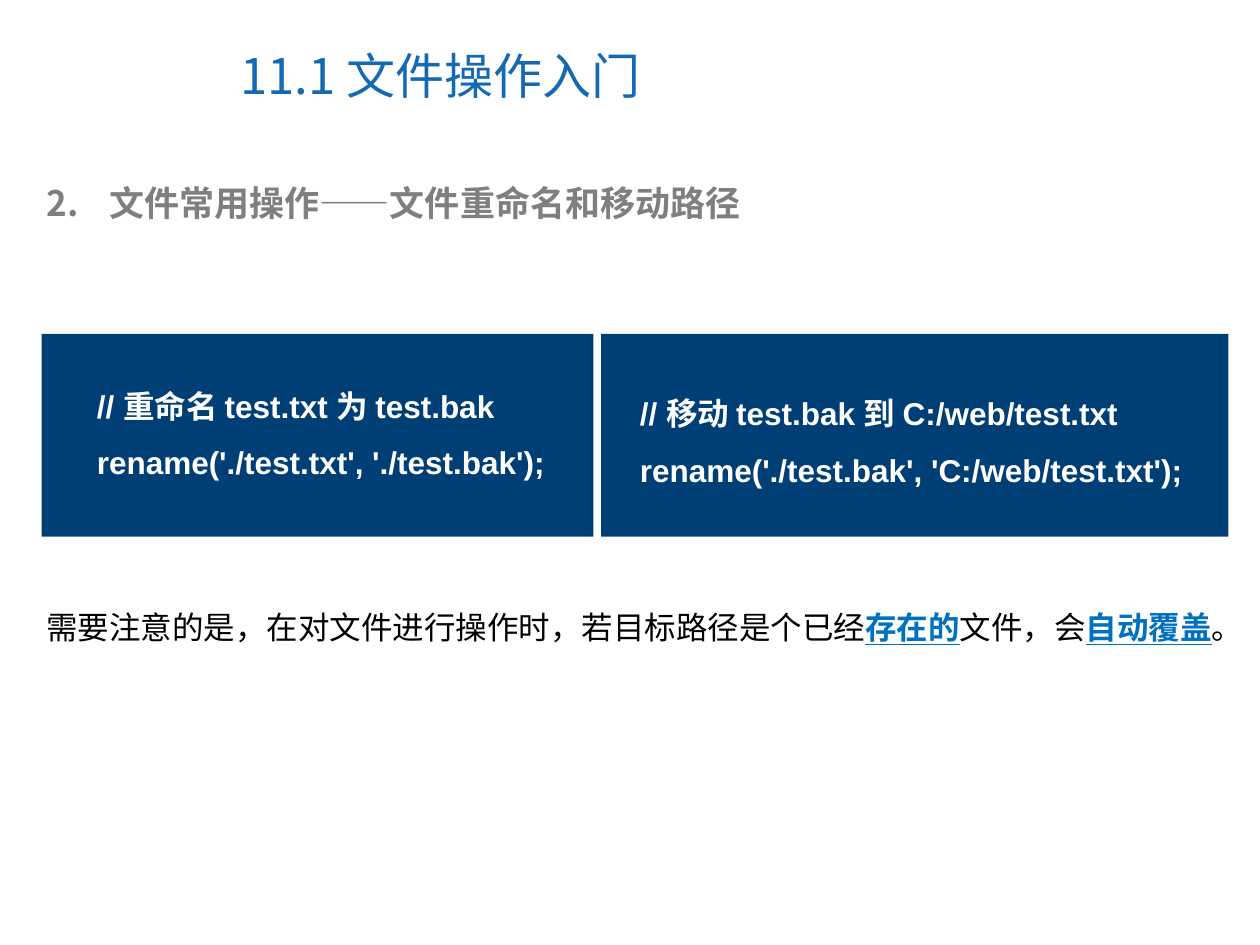
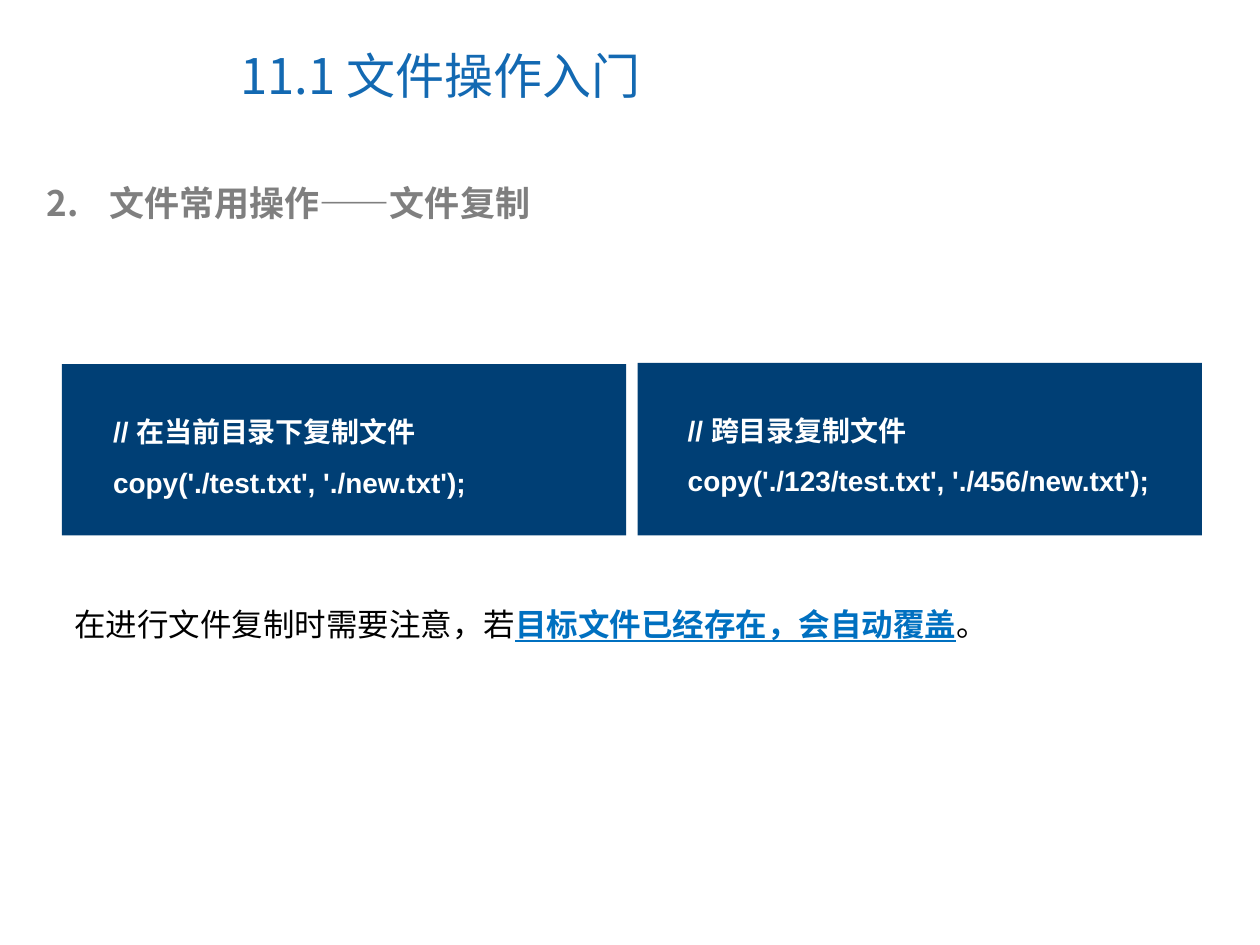
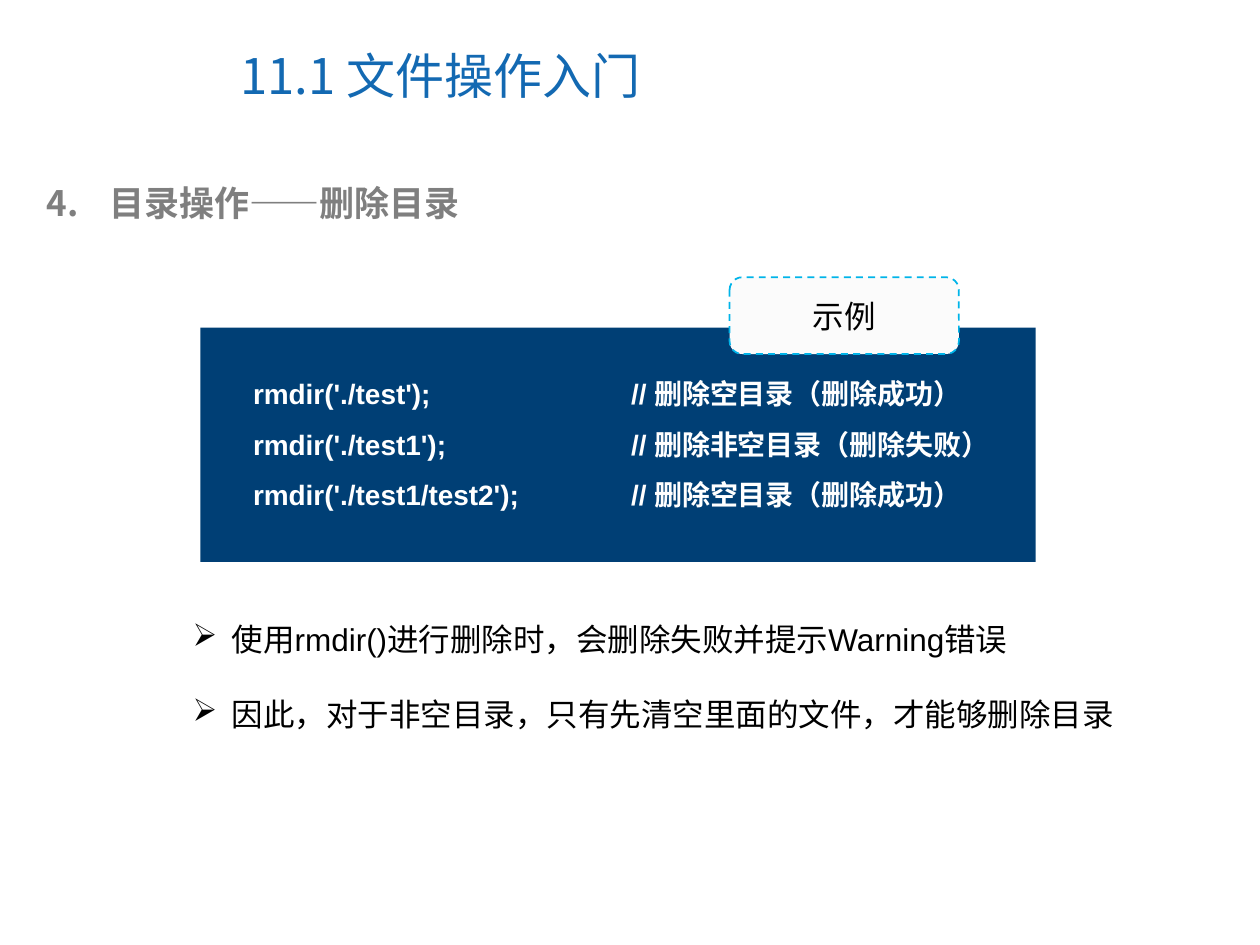
"""Build three slides on file and directory operations."""
from dataclasses import dataclass

from lxml import etree
from pptx import Presentation
from pptx.dml.color import RGBColor
from pptx.enum.dml import MSO_LINE
from pptx.enum.shapes import MSO_SHAPE
from pptx.enum.text import MSO_ANCHOR, PP_ALIGN
from pptx.oxml.ns import qn
from pptx.util import Inches, Pt

RECTANGLE = MSO_SHAPE.RECTANGLE
ROUNDED_RECTANGLE = MSO_SHAPE.ROUNDED_RECTANGLE
MIDDLE = MSO_ANCHOR.MIDDLE
CENTER = PP_ALIGN.CENTER
DASH = MSO_LINE.DASH

TITLE_BLUE = RGBColor(0x13, 0x69, 0xB2)
HEADING_GRAY = RGBColor(0x7F, 0x7F, 0x7F)
PANEL_NAVY = RGBColor(0x00, 0x3F, 0x75)
EMPHASIS_BLUE = RGBColor(0x00, 0x70, 0xC0)
TAG_FILL = RGBColor(0xFB, 0xFB, 0xFB)
TAG_LINE = RGBColor(0x00, 0xB4, 0xE9)
WHITE = RGBColor(0xFF, 0xFF, 0xFF)
BLACK = RGBColor(0x00, 0x00, 0x00)

HEADING_FONT = "Noto Sans CJK SC"
BODY_FONT = "Arial"
TITLE = "11.1 文件操作入门"
COMMENT_TAB = 3.0


@dataclass(frozen=True)
class Box:
    """Position and size in inches."""
    left: float
    top: float
    width: float
    height: float

    def lengths(self) -> tuple:
        """Return the four values as lengths."""
        return tuple(map(Inches, (self.left, self.top, self.width, self.height)))


@dataclass(frozen=True)
class Style:
    """Character formatting of a paragraph."""
    name: str
    size: int
    color: RGBColor
    bold: bool = False


@dataclass(frozen=True)
class CodePanel:
    """A dark panel with code lines inset from its top left corner."""
    box: Box
    inset_left: float
    inset_top: float
    size: int
    lines: tuple[str, ...]


@dataclass(frozen=True)
class Span:
    """A piece of a note, emphasised or plain."""
    text: str
    emphasised: bool = False


TITLE_STYLE = Style(HEADING_FONT, 28, TITLE_BLUE)
HEADING_STYLE = Style(HEADING_FONT, 20, HEADING_GRAY, True)
NOTE_STYLE = Style(BODY_FONT, 18, BLACK)

TITLE_BOX = Box(1.81, 0.17, 5.16, 0.85)
HEADING_BOX = Box(0.27, 1.39, 9.22, 0.44)

RENAME_PANELS = (
    CodePanel(Box(0.33, 2.65, 4.38, 1.61), 0.34, 0.22, 18,
              ("// 重命名 test.txt 为 test.bak", "rename('./test.txt', './test.bak');")),
    CodePanel(Box(4.77, 2.65, 4.98, 1.61), 0.21, 0.28, 18,
              ("// 移动 test.bak 到 C:/web/test.txt",
               "rename('./test.bak', 'C:/web/test.txt');")),
)
COPY_PANELS = (
    CodePanel(Box(0.49, 2.89, 4.48, 1.36), 0.31, 0.22, 16,
              ("// 在当前目录下复制文件", "copy('./test.txt', './new.txt');")),
    CodePanel(Box(5.06, 2.88, 4.48, 1.37), 0.3, 0.22, 16,
              ("// 跨目录复制文件", "copy('./123/test.txt', './456/new.txt');")),
)
REMOVE_PANEL = CodePanel(
    Box(1.59, 2.6, 6.63, 1.86), 0.32, 0.21, 16,
    ("rmdir('./test');\t// 删除空目录（删除成功）",
     "rmdir('./test1');\t// 删除非空目录（删除失败）",
     "rmdir('./test1/test2');\t// 删除空目录（删除成功）"))

RENAME_NOTE = (
    Span("需要注意的是，在对文件进行操作时，若目标路径是个已经"), Span("存在的", True),
    Span("文件，会"), Span("自动覆盖", True), Span("。"))
COPY_NOTE = (
    Span("在进行文件复制时需要注意，若"), Span("目标文件已经存在，会自动覆盖", True), Span("。"))
REMOVE_NOTES = (
    "使用rmdir()进行删除时，会删除失败并提示Warning错误",
    "因此，对于非空目录，只有先清空里面的文件，才能够删除目录")


def apply_style(paragraph, style: Style) -> None:
    """Set the font of a whole paragraph."""
    font = paragraph.font
    font.name, font.size, font.bold = style.name, Pt(style.size), style.bold
    font.color.rgb = style.color
    if style.name == HEADING_FONT:
        defaults = paragraph._p.pPr.find(qn("a:defRPr"))
        etree.SubElement(defaults, qn("a:ea"), typeface=style.name)


def add_bullet(paragraph, color: RGBColor, indent: float, kind: str, **values: str) -> None:
    """Give a paragraph a coloured bullet and a hanging indent."""
    properties = paragraph._p.get_or_add_pPr()
    properties.set("marL", str(Inches(indent)))
    properties.set("indent", str(-Inches(indent)))
    bullet_color = etree.SubElement(properties, qn("a:buClr"))
    etree.SubElement(bullet_color, qn("a:srgbClr"), val=str(color))
    etree.SubElement(properties, qn(kind), **values)


def add_tab(paragraph, position: float) -> None:
    """Add a left tab stop to a paragraph."""
    tabs = etree.SubElement(paragraph._p.get_or_add_pPr(), qn("a:tabLst"))
    etree.SubElement(tabs, qn("a:tab"), pos=str(Inches(position)), algn="l")


def add_text_frame(slide, box: Box):
    """Add a wrapping text box and return its frame."""
    frame = slide.shapes.add_textbox(*box.lengths()).text_frame
    frame.word_wrap = True
    return frame


def fill_lines(frame, lines: tuple[str, ...]) -> list:
    """Write one paragraph per line and return the paragraphs."""
    for index, line in enumerate(lines):
        paragraph = frame.add_paragraph() if index else frame.paragraphs[0]
        paragraph.add_run().text = line
    return list(frame.paragraphs)


def add_panel_shape(slide, kind, box: Box, fill: RGBColor):
    """Add a filled shape without outline or shadow."""
    shape = slide.shapes.add_shape(kind, *box.lengths())
    shape.shadow.inherit = False
    shape.fill.solid()
    shape.fill.fore_color.rgb = fill
    shape.line.fill.background()
    return shape


def add_code_panel(slide, panel: CodePanel) -> None:
    """Draw a code panel and its lines."""
    box = panel.box
    add_panel_shape(slide, RECTANGLE, box, PANEL_NAVY)
    text_height = 0.1 + 0.025 * panel.size * len(panel.lines)
    frame = add_text_frame(slide, Box(box.left + panel.inset_left, box.top + panel.inset_top,
                                      box.width - panel.inset_left, text_height))
    for paragraph in fill_lines(frame, panel.lines):
        paragraph.line_spacing = 1.5
        add_tab(paragraph, COMMENT_TAB)
        apply_style(paragraph, Style(BODY_FONT, panel.size, WHITE, True))


def add_note(slide, box: Box, spans: tuple[Span, ...]) -> None:
    """Write a note with emphasised words."""
    paragraph = add_text_frame(slide, box).paragraphs[0]
    apply_style(paragraph, NOTE_STYLE)
    for span in spans:
        run = paragraph.add_run()
        run.text = span.text
        if span.emphasised:
            run.font.bold = run.font.underline = True
            run.font.color.rgb = EMPHASIS_BLUE


def add_bulleted_notes(slide, box: Box, notes: tuple[str, ...]) -> None:
    """Write notes marked with arrowhead bullets."""
    for paragraph in fill_lines(add_text_frame(slide, box), notes):
        paragraph.line_spacing = 2.0
        add_bullet(paragraph, BLACK, 0.31, "a:buChar", char="➢")
        apply_style(paragraph, NOTE_STYLE)


def add_example_tag(slide, box: Box, label: str) -> None:
    """Draw the dashed tag that labels an example."""
    tag = add_panel_shape(slide, ROUNDED_RECTANGLE, box, TAG_FILL)
    tag.line.color.rgb = TAG_LINE
    tag.line.width = Pt(1)
    tag.line.dash_style = DASH
    tag.text_frame.vertical_anchor = MIDDLE
    paragraph = fill_lines(tag.text_frame, (label,))[0]
    paragraph.alignment = CENTER
    apply_style(paragraph, NOTE_STYLE)


def add_topic_slide(presentation, number: int, heading: str):
    """Add a slide with the shared title and a numbered heading."""
    slide = presentation.slides.add_slide(presentation.slide_layouts[6])
    title_frame = add_text_frame(slide, TITLE_BOX)
    title_frame.vertical_anchor = MIDDLE
    apply_style(fill_lines(title_frame, (TITLE,))[0], TITLE_STYLE)
    paragraph = fill_lines(add_text_frame(slide, HEADING_BOX), (heading,))[0]
    add_bullet(paragraph, HEADING_GRAY, 0.5, "a:buAutoNum",
               type="arabicPeriod", startAt=str(number))
    apply_style(paragraph, HEADING_STYLE)
    return slide


def main() -> None:
    """Build and save the presentation."""
    presentation = Presentation()
    presentation.slide_width, presentation.slide_height = Inches(10), Inches(7.5)

    rename_slide = add_topic_slide(presentation, 2, "文件常用操作——文件重命名和移动路径")
    for panel in RENAME_PANELS:
        add_code_panel(rename_slide, panel)
    add_note(rename_slide, Box(0.27, 4.78, 9.87, 0.4), RENAME_NOTE)

    copy_slide = add_topic_slide(presentation, 2, "文件常用操作——文件复制")
    for panel in COPY_PANELS:
        add_code_panel(copy_slide, panel)
    add_note(copy_slide, Box(0.49, 4.75, 9.05, 0.4), COPY_NOTE)

    remove_slide = add_topic_slide(presentation, 4, "目录操作——删除目录")
    add_code_panel(remove_slide, REMOVE_PANEL)
    add_example_tag(remove_slide, Box(5.79, 2.2, 1.82, 0.61), "示例")
    add_bulleted_notes(remove_slide, Box(1.43, 4.57, 7.97, 1.3), REMOVE_NOTES)

    presentation.save("out.pptx")


if __name__ == "__main__":
    main()
